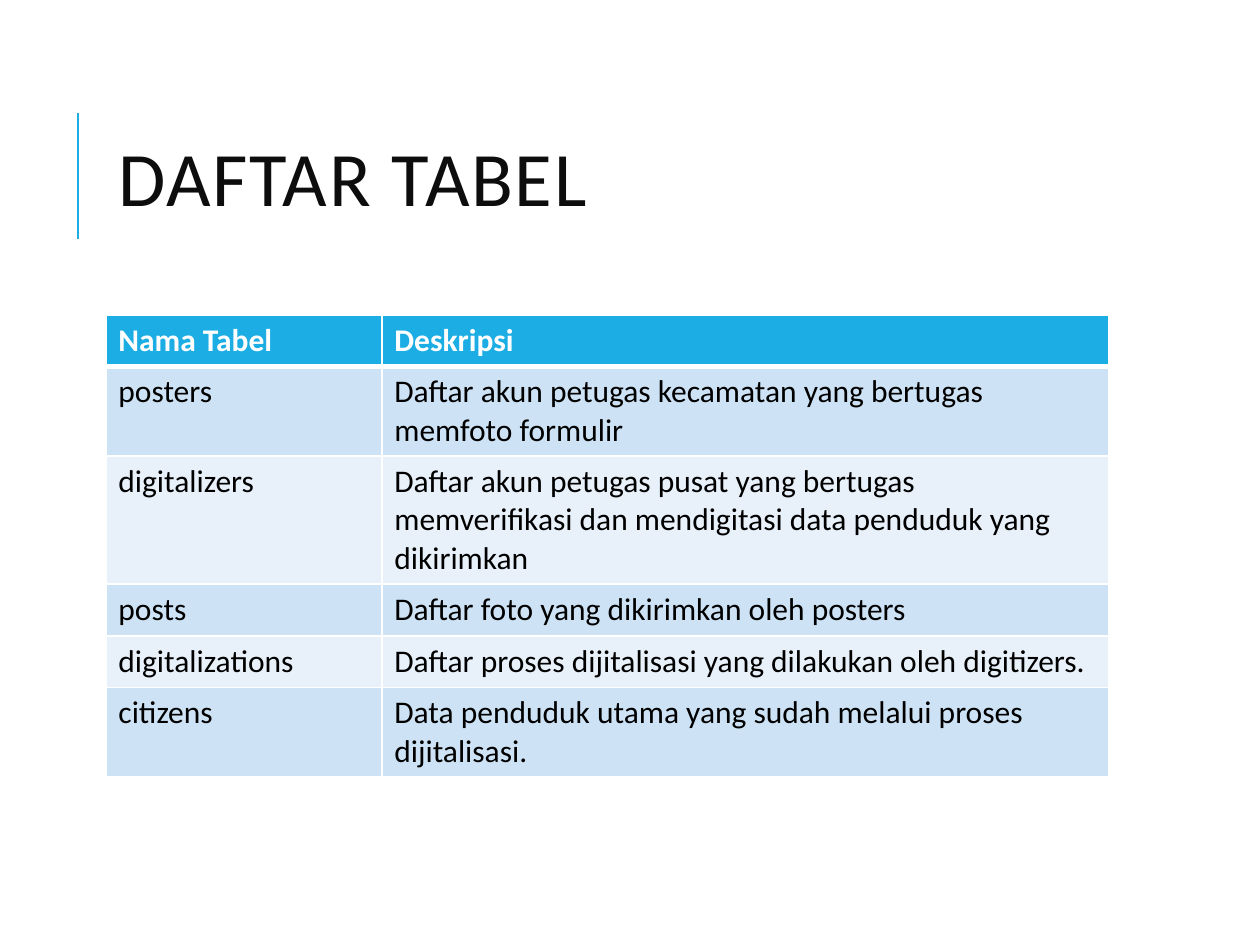
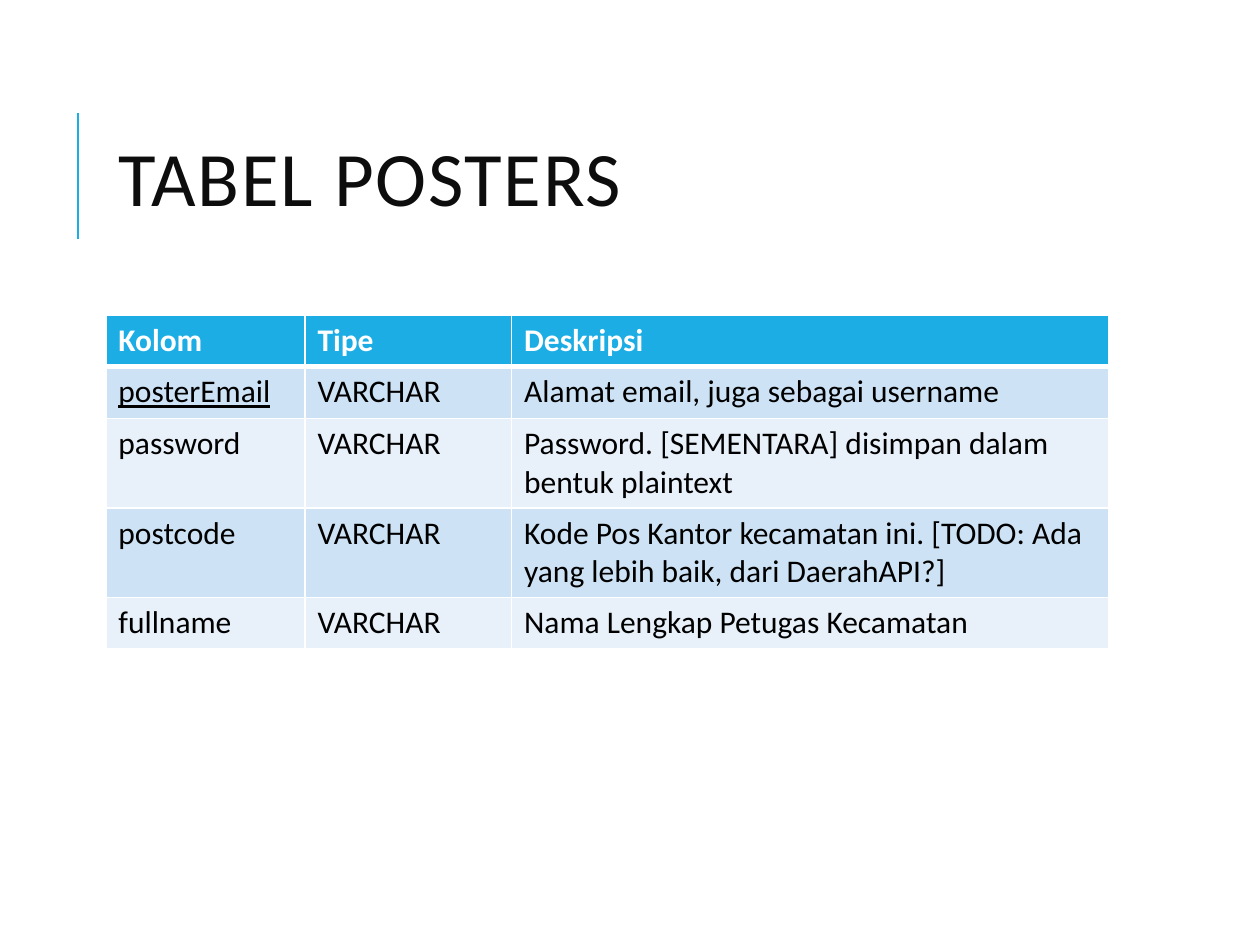
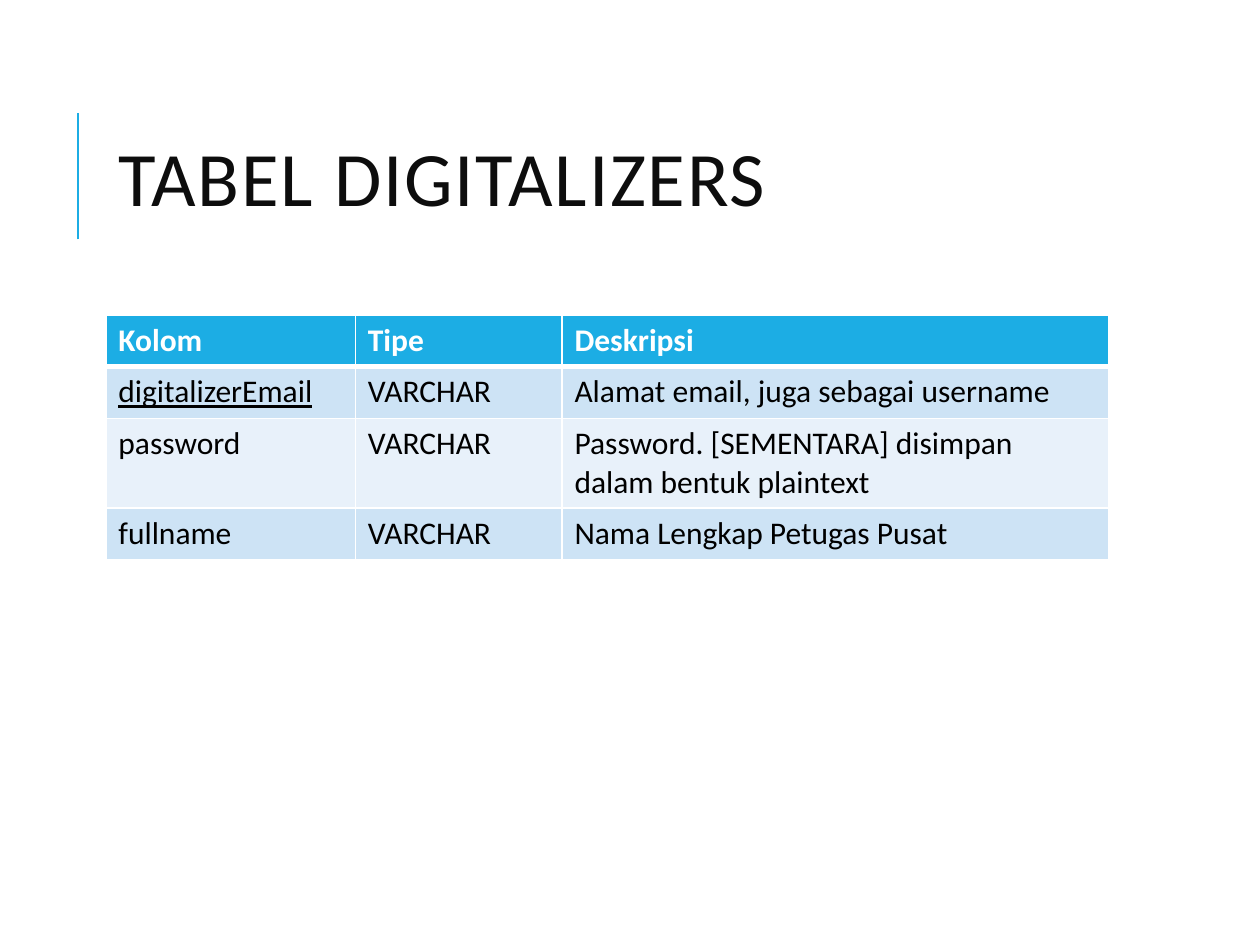
from lxml import etree
from pptx import Presentation
from pptx.dml.color import RGBColor
from pptx.enum.shapes import MSO_CONNECTOR
from pptx.enum.text import MSO_ANCHOR, MSO_AUTO_SIZE, PP_ALIGN
from pptx.oxml.ns import qn
from pptx.util import Inches, Pt

STRAIGHT = MSO_CONNECTOR.STRAIGHT
MIDDLE = MSO_ANCHOR.MIDDLE
NO_AUTOFIT = MSO_AUTO_SIZE.NONE
LEFT = PP_ALIGN.LEFT

FONT = "Calibri"
ACCENT, WHITE, BLACK, TITLE_INK = "1CADE4", "FFFFFF", "000000", "0D0D0D"
BANDS = ("CDE3F5", "E8F1FA")

TITLE_ONLY = 5
TITLE_BOX = (0.84, 0.64, 7.97, 1.64)
RULE_X, RULE_TOP, RULE_BOTTOM = 0.62, 0.9, 1.9
TABLE_LEFT, TABLE_TOP, ROW_HEIGHT = 0.84, 2.5, 0.41
THIN, THICK = 1, 3

EMAIL_NOTE = "Alamat email, juga sebagai username"
PASSWORD_ROW = ("password", "VARCHAR",
                "Password. [SEMENTARA] disimpan dalam bentuk plaintext")
COLUMN_HEADINGS = ("Kolom", "Tipe", "Deskripsi")

# Each entry: title, column widths, rows, key column name
TABLES = [
    ("DAFTAR TABEL", (2.19, 5.77), [
        ("Nama Tabel", "Deskripsi"),
        ("posters", "Daftar akun petugas kecamatan yang bertugas memfoto formulir"),
        ("digitalizers", "Daftar akun petugas pusat yang bertugas memverifikasi "
                         "dan mendigitasi data penduduk yang dikirimkan"),
        ("posts", "Daftar foto yang dikirimkan oleh posters"),
        ("digitalizations", "Daftar proses dijitalisasi yang dilakukan oleh digitizers."),
        ("citizens", "Data penduduk utama yang sudah melalui proses dijitalisasi."),
    ], None),
    ("TABEL POSTERS", (1.58, 1.64, 4.74), [
        COLUMN_HEADINGS,
        ("posterEmail", "VARCHAR", EMAIL_NOTE),
        PASSWORD_ROW,
        ("postcode", "VARCHAR", "Kode Pos Kantor kecamatan ini. "
                                "[TODO: Ada yang lebih baik, dari DaerahAPI?]"),
        ("fullname", "VARCHAR", "Nama Lengkap Petugas Kecamatan"),
    ], "posterEmail"),
    ("TABEL DIGITALIZERS", (1.98, 1.64, 4.34), [
        COLUMN_HEADINGS,
        ("digitalizerEmail", "VARCHAR", EMAIL_NOTE),
        PASSWORD_ROW,
        ("fullname", "VARCHAR", "Nama Lengkap Petugas Pusat"),
    ], "digitalizerEmail"),
]


def rgb(value):
    return RGBColor.from_string(value)


def style_font(paragraph, size, color, bold=False, underline=False):
    font = paragraph.font
    font.name, font.size, font.bold = FONT, Pt(size), bold
    font.underline = underline
    font.color.rgb = rgb(color)


def add_title(slide, text, box):
    title = slide.shapes.title
    title.left, title.top, title.width, title.height = map(Inches, box)
    frame = title.text_frame
    frame.text = text
    frame.word_wrap = True
    frame.auto_size = NO_AUTOFIT
    frame.vertical_anchor = MIDDLE
    heading = frame.paragraphs[0]
    heading.alignment = LEFT
    heading.line_spacing = 0.8
    style_font(heading, 44, TITLE_INK)
    for properties in heading.runs[0].font, heading.font:
        properties._element.set("spc", "100")


def add_title_rule(slide):
    rule = slide.shapes.add_connector(
        STRAIGHT, Inches(RULE_X), Inches(RULE_BOTTOM), Inches(RULE_X), Inches(RULE_TOP))
    rule.line.color.rgb = rgb(ACCENT)
    rule.line.width = Pt(1.5)
    etree.SubElement(rule._element.spPr, qn("a:effectLst"))


def set_borders(cell, top, bottom):
    """Draw white borders; they must precede the fill in the cell properties."""
    properties = cell._tc.get_or_add_tcPr()
    widths = {"a:lnL": THIN, "a:lnR": THIN, "a:lnT": top, "a:lnB": bottom}
    for position, (side, width) in enumerate(widths.items()):
        border = etree.Element(qn(side), w=str(Pt(width)))
        fill = etree.SubElement(border, qn("a:solidFill"))
        etree.SubElement(fill, qn("a:srgbClr"), val=WHITE)
        properties.insert(position, border)


def add_description_table(slide, left, top, widths, rows, key):
    table = slide.shapes.add_table(
        len(rows), len(widths), Inches(left), Inches(top),
        Inches(sum(widths)), Inches(ROW_HEIGHT * len(rows))).table
    for column, width in zip(table.columns, widths):
        column.width = Inches(width)
    for r, texts in enumerate(rows):
        table.rows[r].height = Inches(ROW_HEIGHT)
        is_header = r == 0
        for c, text in enumerate(texts):
            cell = table.cell(r, c)
            cell.text = text
            cell.fill.solid()
            cell.fill.fore_color.rgb = rgb(ACCENT if is_header else BANDS[(r - 1) % 2])
            style_font(cell.text_frame.paragraphs[0], 18, WHITE if is_header else BLACK,
                       bold=is_header, underline=text == key)
            set_borders(cell, top=THICK if r == 1 else THIN,
                        bottom=THICK if is_header else THIN)


def add_table_slide(deck, title, widths, rows, key):
    slide = deck.slides.add_slide(deck.slide_layouts[TITLE_ONLY])
    add_title_rule(slide)
    add_title(slide, title, TITLE_BOX)
    add_description_table(slide, TABLE_LEFT, TABLE_TOP, widths, rows, key)


def main():
    deck = Presentation()
    deck.slide_width, deck.slide_height = Inches(10), Inches(7.5)
    for content in TABLES:
        add_table_slide(deck, *content)
    deck.save("out.pptx")


if __name__ == "__main__":
    main()
